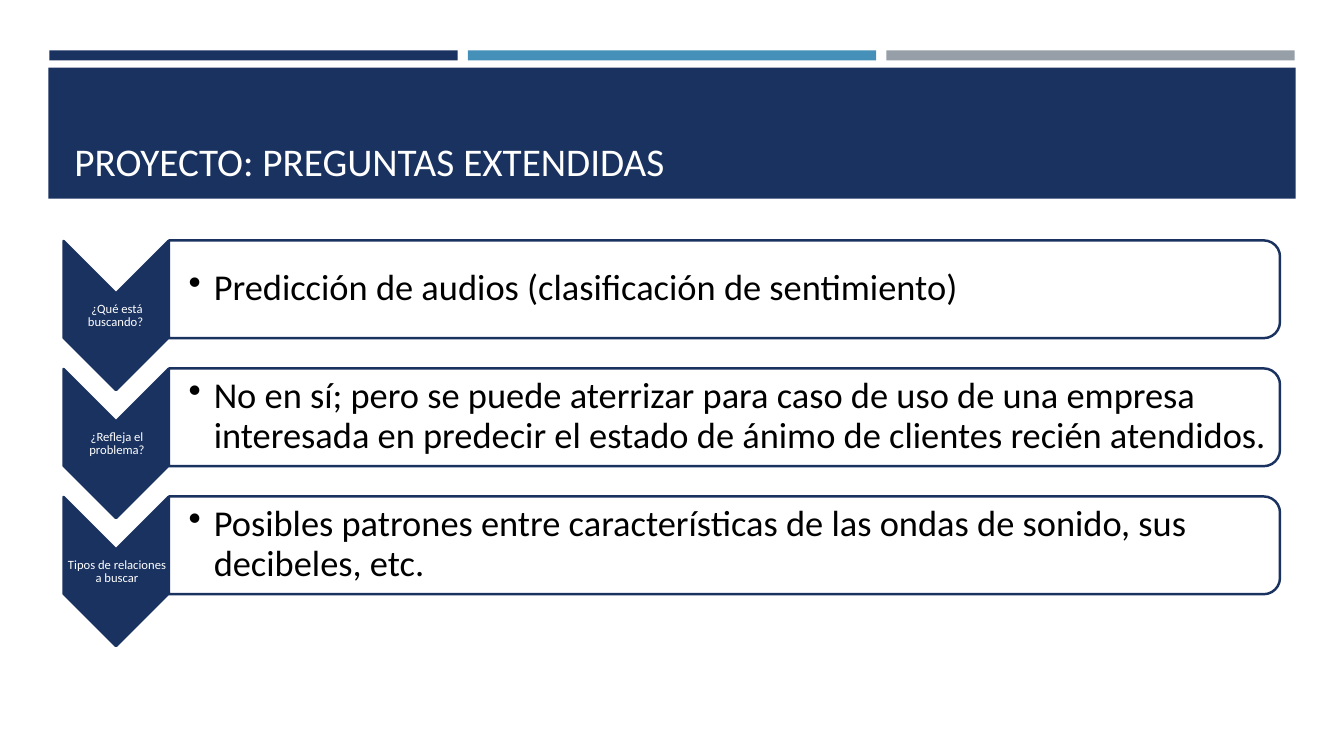
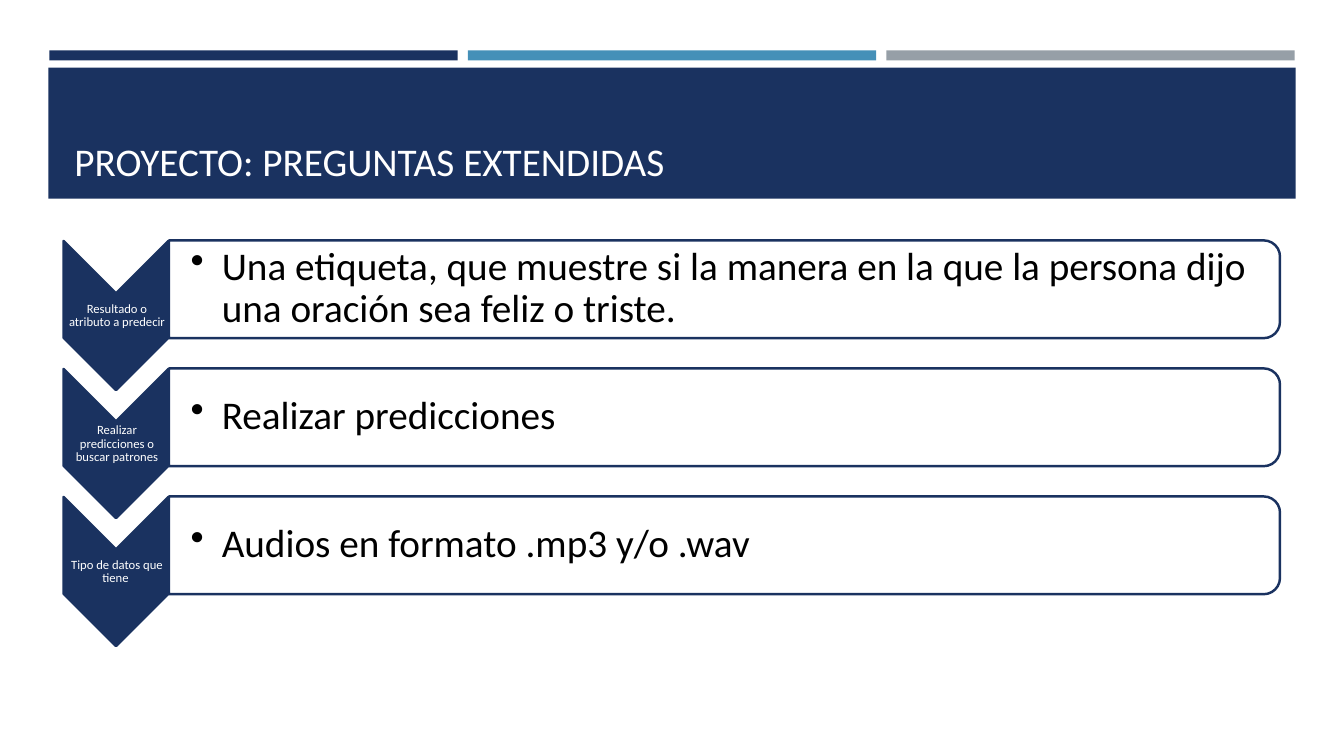
import pptx
import pptx.dml.color
import pptx.enum.shapes
import pptx.enum.text
import pptx.oxml
import pptx.oxml.ns
import pptx.util

PX = 9144  # EMU per px, 100 px to the inch
NAVY, BLUE, GRAY, WHITE, BLACK = "1A3260", "4590B8", "969FA7", "FFFFFF", "000000"
FONT = "Calibri"
TITLE = "PROYECTO: PREGUNTAS EXTENDIDAS"
MSO = pptx.enum.shapes.MSO_SHAPE
ANCHOR = pptx.enum.text.MSO_ANCHOR
ALIGN = pptx.enum.text.PP_ALIGN
rgb = pptx.dml.color.RGBColor.from_string

# Rows of each slide: chevron label and answer
SLIDES = [
    {"size": 26, "inset": 20, "indent": 25, "rows": [
        ("¿Qué está buscando? ", "Predicción de audios (clasificación de sentimiento)"),
        ("¿Refleja el problema?",
         "No en sí; pero se puede aterrizar para caso de uso de una empresa "
         "interesada en predecir el estado de ánimo de clientes recién atendidos."),
        ("Tipos de relaciones a buscar",
         "Posibles patrones entre características de las ondas de sonido, sus decibeles, etc."),
    ]},
    {"size": 28, "inset": 22, "indent": 31, "rows": [
        ("Resultado o atributo a predecir",
         "Una etiqueta, que muestre si la manera en la que la persona dijo "
         "una oración sea feliz o triste."),
        ("Realizar predicciones o buscar patrones", "Realizar predicciones"),
        ("Tipo de datos que tiene ", "Audios en formato .mp3 y/o .wav"),
    ]},
]


def add_box(s, kind, at, fill, line=None, rotation=0):
    sp = s.shapes.add_shape(kind, *[v * PX for v in at])
    sp.shadow.inherit = False
    sp.rotation = rotation
    sp.fill.solid()
    sp.fill.fore_color.rgb = rgb(fill)
    if line:
        sp.line.color.rgb = rgb(line)
        sp.line.width = pptx.util.Pt(1.75)
    else:
        sp.line.fill.background()
    return sp


def add_text(s, at, text, size, color, anchor, margins, align=ALIGN.LEFT, spacing=1.0):
    tf = s.shapes.add_textbox(*[v * PX for v in at]).text_frame
    left, top, right, bottom = [v * PX for v in margins]
    frame = {"word_wrap": True, "vertical_anchor": anchor, "margin_left": left,
             "margin_top": top, "margin_right": right, "margin_bottom": bottom}
    for name, value in frame.items():
        setattr(tf, name, value)
    p = tf.paragraphs[0]
    p.alignment = align
    p.line_spacing = spacing
    r = p.add_run()
    r.text = text
    for name, value in {"name": FONT, "size": pptx.util.Pt(size)}.items():
        setattr(r.font, name, value)
    r.font.color.rgb = rgb(color)
    return p


prs = pptx.Presentation()
prs.slide_width, prs.slide_height = 1333 * PX, 750 * PX

for content in SLIDES:
    s = prs.slides.add_slide(prs.slide_layouts[6])

    # Three stripes above the title band
    for i, color in enumerate([NAVY, BLUE, GRAY]):
        add_box(s, MSO.RECTANGLE, (49 + i * 415, 50, 405, 10), color)

    # Title band
    add_box(s, MSO.RECTANGLE, (48, 67, 1237, 130), NAVY)
    add_text(s, (64, 77, 1206, 111), TITLE, 28, WHITE, ANCHOR.BOTTOM, (10, 5, 10, 5))

    # Chevron list
    for i, (label, answer) in enumerate(content["rows"]):
        dy = i * 127
        add_box(s, MSO.CHEVRON, (41, 261 + dy, 148, 104), NAVY, NAVY, 90)
        add_text(s, (64, 291 + dy, 104, 45), label, 9, WHITE, ANCHOR.MIDDLE,
                 (1, 1, 1, 1), ALIGN.CENTER, 0.9)

        bar = add_box(s, MSO.ROUND_2_SAME_RECTANGLE, (670, -264 + dy, 97, 1102),
                      WHITE, NAVY, 90)
        fill = bar.fill.fore_color._xFill.find(".//" + pptx.oxml.ns.qn("a:srgbClr")) \
            if hasattr(bar.fill.fore_color, "_xFill") else \
            bar.element.spPr.find(pptx.oxml.ns.qn("a:solidFill"))[0]
        fill.append(pptx.oxml.parse_xml(
            '<a:alpha %s val="90000"/>' % pptx.oxml.ns.nsdecls("a")))

        p = add_text(s, (167, 243 + dy, 1098, 87), answer, content["size"], BLACK,
                     ANCHOR.MIDDLE, (content["inset"], 2, 2, 2), spacing=0.9)
        pPr = p._p.get_or_add_pPr()
        pPr.set("marL", str(content["indent"] * PX))
        pPr.set("indent", str(-content["indent"] * PX))
        pPr.append(pptx.oxml.parse_xml(
            '<a:buChar %s char="•"/>' % pptx.oxml.ns.nsdecls("a")))

prs.save("out.pptx")
